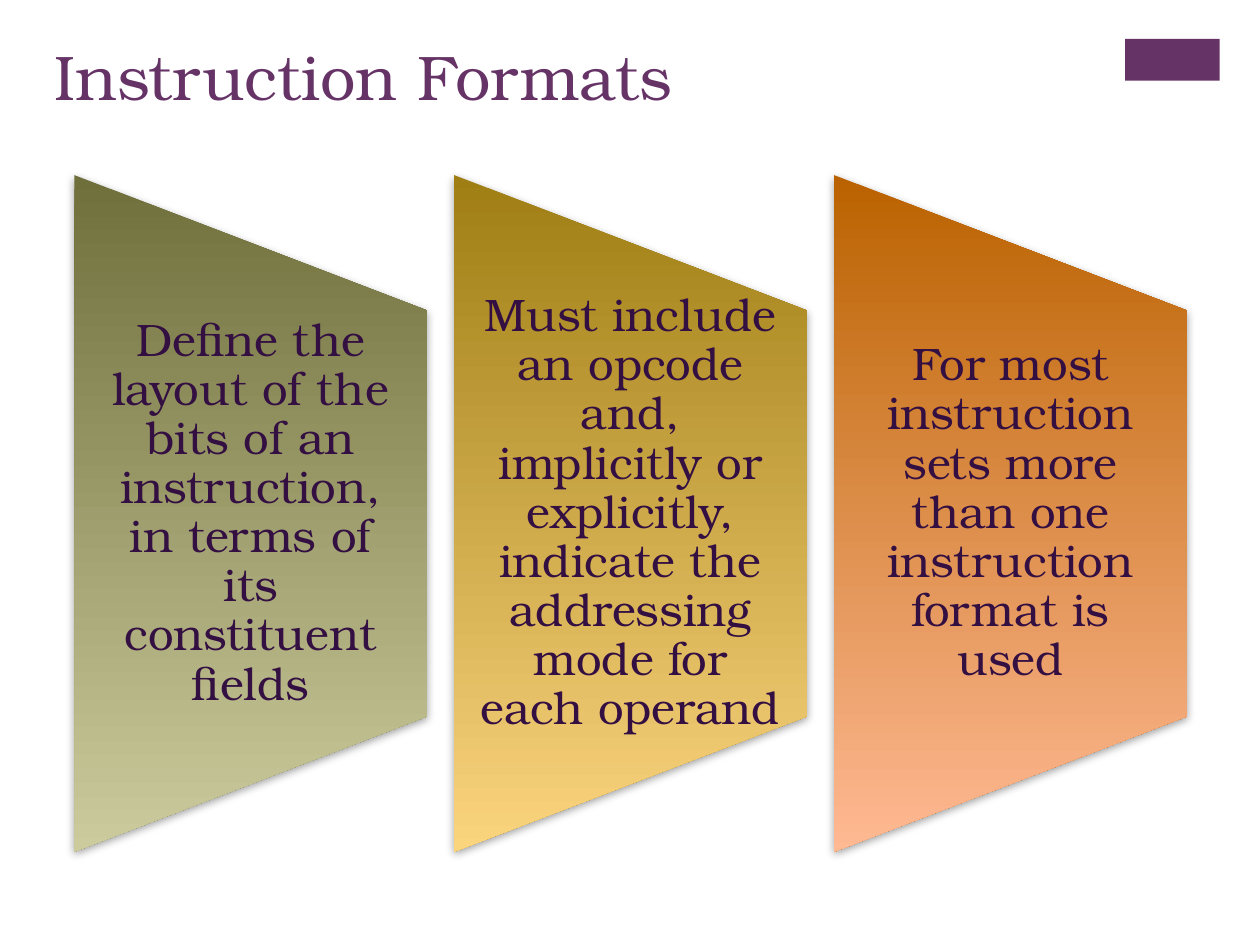
from lxml.etree import SubElement
from pptx import Presentation
from pptx.dml.color import RGBColor
from pptx.enum.shapes import MSO_SHAPE
from pptx.enum.text import MSO_ANCHOR, MSO_AUTO_SIZE, PP_ALIGN
from pptx.oxml.ns import qn
from pptx.util import Inches, Pt

FONT = "TeX Gyre Bonum"
PURPLE = "663366"
DARK_PURPLE = "330F42"

PANEL_WIDTH, PANEL_HEIGHT = 2.8, 5.37
PANEL_TOP = 1.39
FIRST_LEFT, LAST_LEFT = 0.59, 6.62
TEXT_HEIGHT = 3.22

# Text, top colour and bottom colour of each panel
PANELS = [
    ("Define the layout of the bits of an instruction, in terms of its "
     "constituent fields", "6F6F3C", "CBCB9D"),
    ("Must include an opcode and, implicitly or explicitly, indicate the "
     "addressing mode for each operand", "9F7E14", "FBD47E"),
    ("For most instruction sets more than one instruction format is used",
     "BA6200", "FFB993"),
]


def rgb(color):
    return RGBColor.from_string(color)


def write_text(frame, text, *, size, color, align=PP_ALIGN.LEFT,
               anchor=MSO_ANCHOR.TOP, side_inset=0.1, end_inset=0.05,
               line_spacing=1.0):
    frame.word_wrap = True
    frame.auto_size = MSO_AUTO_SIZE.NONE
    frame.vertical_anchor = anchor
    frame.margin_left = frame.margin_right = Inches(side_inset)
    frame.margin_top = frame.margin_bottom = Inches(end_inset)
    paragraph = frame.paragraphs[0]
    paragraph.alignment = align
    paragraph.line_spacing = line_spacing
    run = paragraph.add_run()
    run.text = text
    run.font.name = FONT
    run.font.size = Pt(size)
    run.font.color.rgb = rgb(color)


def add_title(slide, text):
    title = slide.shapes.title
    title.left, title.top = Inches(0.33), Inches(0.25)
    title.width, title.height = Inches(8.26), Inches(1.22)
    write_text(title.text_frame, text, size=36, color=PURPLE)


def add_corner_bar(slide):
    bar = slide.shapes.add_shape(MSO_SHAPE.RECTANGLE, Inches(8.93),
                                 Inches(0.31), Inches(0.75), Inches(0.33))
    bar.shadow.inherit = False
    bar.fill.solid()
    bar.fill.fore_color.rgb = rgb(PURPLE)
    bar.line.fill.background()


def fill_downwards(shape, top_color, bottom_color):
    """Fill with a gradient that runs down the slide, whatever the rotation."""
    shape.fill.gradient()
    shape.fill.gradient_angle = 270
    for stop, color in zip(shape.fill.gradient_stops,
                           (top_color, bottom_color)):
        stop.color.rgb = rgb(color)
    gradient = shape._element.spPr.find(qn("a:gradFill"))
    gradient.set("rotWithShape", "0")


def add_soft_shadow(shape):
    shape.shadow.inherit = False
    effects = shape._element.spPr.find(qn("a:effectLst"))
    shadow = SubElement(effects, qn("a:outerShdw"), blurRad=str(Pt(5)),
                        dist=str(Pt(2)), dir="5400000", rotWithShape="0")
    color = SubElement(shadow, qn("a:srgbClr"), val="808080")
    SubElement(color, qn("a:alpha"), val="75000")


def add_panel(slide, left, text, top_color, bottom_color):
    # The shape is laid out flat around the panel's centre, then turned upright.
    center_x = left + PANEL_WIDTH / 2
    center_y = PANEL_TOP + PANEL_HEIGHT / 2
    panel = slide.shapes.add_shape(
        MSO_SHAPE.FLOWCHART_MANUAL_OPERATION,
        Inches(center_x - PANEL_HEIGHT / 2), Inches(center_y - PANEL_WIDTH / 2),
        Inches(PANEL_HEIGHT), Inches(PANEL_WIDTH))
    panel.rotation = 270
    panel.line.fill.background()
    fill_downwards(panel, top_color, bottom_color)
    add_soft_shadow(panel)

    label = slide.shapes.add_textbox(
        Inches(left), Inches(center_y - TEXT_HEIGHT / 2),
        Inches(PANEL_WIDTH), Inches(TEXT_HEIGHT))
    write_text(label.text_frame, text, size=26, color=DARK_PURPLE,
               align=PP_ALIGN.CENTER, anchor=MSO_ANCHOR.MIDDLE,
               side_inset=0.18, end_inset=0, line_spacing=0.9)


def main():
    presentation = Presentation()
    presentation.slide_width = Inches(10)
    presentation.slide_height = Inches(7.5)
    slide = presentation.slides.add_slide(presentation.slide_layouts[5])

    add_corner_bar(slide)
    add_title(slide, "Instruction Formats")
    pitch = (LAST_LEFT - FIRST_LEFT) / (len(PANELS) - 1)
    for index, (text, top_color, bottom_color) in enumerate(PANELS):
        add_panel(slide, FIRST_LEFT + index * pitch, text, top_color,
                  bottom_color)

    presentation.save("out.pptx")


if __name__ == "__main__":
    main()
